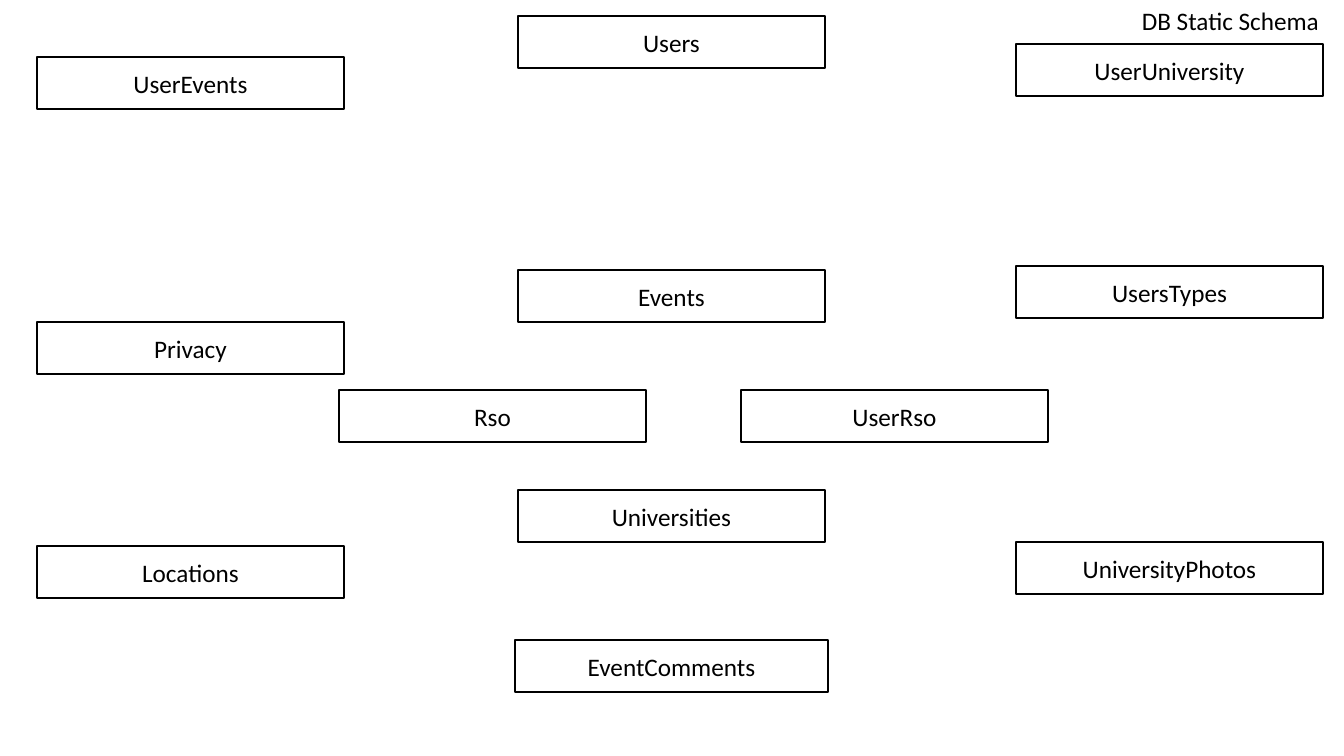
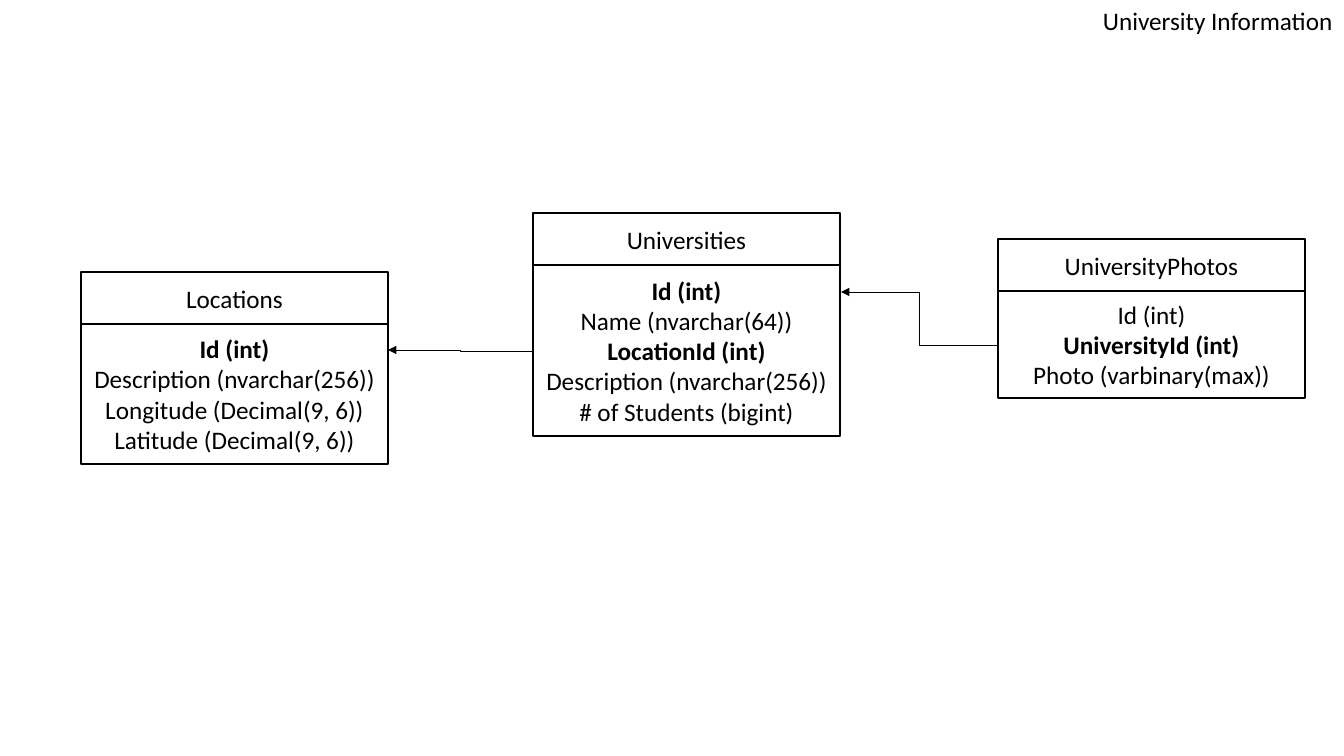
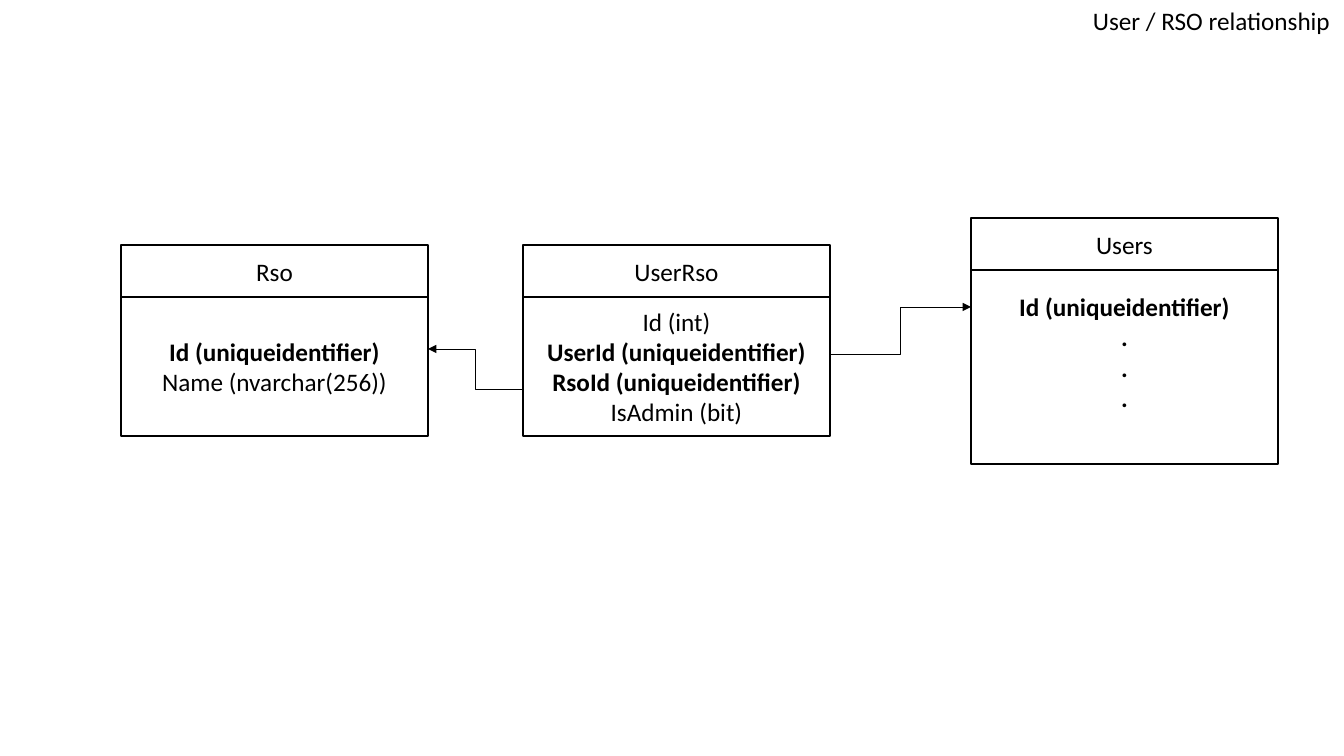
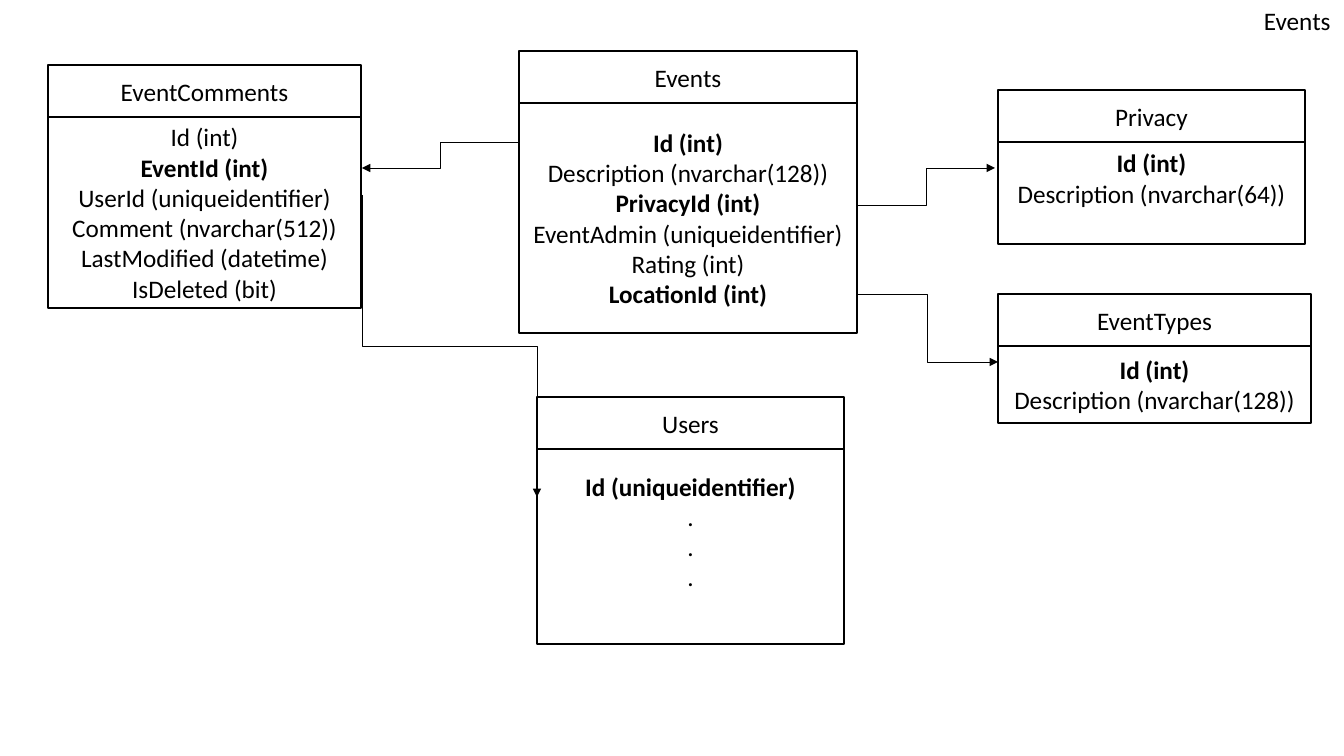
from lxml.etree import SubElement
from pptx import Presentation
from pptx.dml.color import RGBColor
from pptx.enum.shapes import MSO_CONNECTOR, MSO_SHAPE
from pptx.enum.text import MSO_ANCHOR, PP_ALIGN
from pptx.oxml.ns import qn
from pptx.util import Emu, Pt

COLORS = {"paper": "FFFFFF", "ink": "000000"}
FONT = "Calibri"
FONT_SIZE = 18
SLIDE_WIDTH, SLIDE_HEIGHT = 1344, 756
ENTITY_WIDTH = 307
COMMENTS_WIDTH = 313
HEADER_HEIGHT = 52
TITLE_HEIGHT = 40
INSET = 5
LINE_HEIGHT = 30
KEY_MARK = "*"


def px(pixels):
    return Emu(round(pixels * 914400 / 100.8))


def color(name):
    return RGBColor.from_string(COLORS[name])


def write_text(frame, lines, align=PP_ALIGN.LEFT, anchor=MSO_ANCHOR.TOP, bottom=INSET):
    frame.word_wrap = True
    frame.vertical_anchor = anchor
    frame.margin_bottom = px(bottom)
    for index, line in enumerate(lines):
        paragraph = frame.add_paragraph() if index else frame.paragraphs[0]
        paragraph.alignment = align
        run = paragraph.add_run()
        run.text = line.removeprefix(KEY_MARK)
        run.font.name = FONT
        run.font.size = Pt(FONT_SIZE)
        run.font.bold = line.startswith(KEY_MARK)
        run.font.color.rgb = color("ink")


def add_titled_slide(deck, title, width):
    slide = deck.slides.add_slide(deck.slide_layouts[6])
    heading = slide.shapes.add_textbox(
        px(SLIDE_WIDTH - width), 0, px(width), px(TITLE_HEIGHT))
    write_text(heading.text_frame, [title])
    return slide


def add_box(slide, left, top, width, height, lines, bottom=INSET):
    box = slide.shapes.add_shape(
        MSO_SHAPE.RECTANGLE, px(left), px(top), px(width), px(height))
    box.shadow.inherit = False
    box.fill.solid()
    box.fill.fore_color.rgb = color("paper")
    box.line.color.rgb = color("ink")
    box.line.width = Pt(1)
    write_text(box.text_frame, lines, align=PP_ALIGN.CENTER,
               anchor=MSO_ANCHOR.MIDDLE, bottom=bottom)


def add_entity(slide, name, left, top, body_height, fields,
               width=ENTITY_WIDTH, spare_lines=0):
    add_box(slide, left, top, width, HEADER_HEIGHT, [name])
    add_box(slide, left, top + HEADER_HEIGHT, width, body_height, fields,
            bottom=INSET + spare_lines * LINE_HEIGHT)


def add_reference(slide, start, end, vertical=False):
    (x1, y1), (x2, y2) = start, end
    if vertical:
        middle_x, middle_y = (x1 + x2) / 2, (y1 + y2) / 2
        half_run, half_drop = (x2 - x1) / 2, (y2 - y1) / 2
        x1, y1 = middle_x + half_drop, middle_y - half_run
        x2, y2 = middle_x - half_drop, middle_y + half_run
    reference = slide.shapes.add_connector(
        MSO_CONNECTOR.ELBOW, px(x1), px(y1), px(x2), px(y2))
    reference.line.color.rgb = color("ink")
    reference.line.width = Pt(0.5)
    properties = reference._element.spPr
    if vertical:
        properties.find(qn("a:xfrm")).set("rot", str(270 * 60000))
    SubElement(properties.find(qn("a:ln")), qn("a:tailEnd"), type="triangle")
    SubElement(properties, qn("a:effectLst"))


def build_schema(deck):
    slide = add_titled_slide(deck, "DB Static Schema", 212)
    left_column, middle_column, right_column = 37, 518, 1016
    for name, left, top in (
        ("UsersTypes", right_column, 266),
        ("Users", middle_column, 16),
        ("Universities", middle_column, 490),
        ("Locations", left_column, 546),
        ("UserUniversity", right_column, 44),
        ("UserEvents", left_column, 57),
        ("Privacy", left_column, 322),
        ("Events", middle_column, 270),
        ("UniversityPhotos", right_column, 542),
        ("UserRso", 741, 390),
        ("Rso", 339, 390),
    ):
        add_box(slide, left, top, ENTITY_WIDTH, HEADER_HEIGHT, [name])
    add_box(slide, 515, 640, COMMENTS_WIDTH, HEADER_HEIGHT, ["EventComments"])


def build_university(deck):
    slide = add_titled_slide(deck, "University Information", 251)
    add_entity(slide, "Locations", 81, 272, 140, [
        "*Id (int)", "Description (nvarchar(256))",
        "Longitude (Decimal(9, 6))", "Latitude (Decimal(9, 6))"])
    add_entity(slide, "Universities", 533, 213, 171, [
        "*Id (int)", "Name (nvarchar(64))", "*LocationId (int)",
        "Description (nvarchar(256))", "# of Students (bigint)"])
    add_entity(slide, "UniversityPhotos", 998, 239, 107, [
        "Id (int)", "*UniversityId (int)", "Photo (varbinary(max))"])
    add_reference(slide, (533, 351), (388, 350))
    add_reference(slide, (998, 345), (841, 292))


def build_user_rso(deck):
    slide = add_titled_slide(deck, "User / RSO relationship", 261)
    add_entity(slide, "UserRso", 523, 245, 139, [
        "Id (int)", "*UserId (uniqueidentifier)",
        "*RsoId (uniqueidentifier)", "IsAdmin (bit)"])
    add_entity(slide, "Users", 971, 218, 194,
               ["*Id (uniqueidentifier)"] + ["*."] * 3, spare_lines=1)
    add_entity(slide, "Rso", 121, 245, 139, [
        "*Id (uniqueidentifier)", "Name (nvarchar(256))"])
    add_reference(slide, (830, 354), (971, 307))
    add_reference(slide, (523, 389), (428, 349))


def build_events(deck):
    slide = add_titled_slide(deck, "Events", 90)
    add_entity(slide, "Events", 519, 51, 230, [
        "*Id (int)", "Description (nvarchar(128))", "*PrivacyId (int)",
        "EventAdmin (uniqueidentifier)", "Rating (int)", "*LocationId (int)"],
        width=338)
    add_entity(slide, "EventComments", 48, 65, 191, [
        "Id (int)", "*EventId (int)", "UserId (uniqueidentifier)",
        "Comment (nvarchar(512))", "LastModified (datetime)", "IsDeleted (bit)"],
        width=COMMENTS_WIDTH)
    add_entity(slide, "EventTypes", 998, 294, 77, [
        "*Id (int)", "Description (nvarchar(128))"], width=COMMENTS_WIDTH)
    add_entity(slide, "Privacy", 998, 90, 102, [
        "*Id (int)", "Description (nvarchar(64))"], spare_lines=1)
    add_entity(slide, "Users", 537, 397, 195,
               ["*Id (uniqueidentifier)"] + ["."] * 3, spare_lines=1)
    add_reference(slide, (519, 142), (362, 168))
    add_reference(slide, (857, 205), (995, 168))
    add_reference(slide, (857, 294), (998, 362))
    add_reference(slide, (362, 195), (537, 497), vertical=True)


def main():
    deck = Presentation()
    deck.slide_width = px(SLIDE_WIDTH)
    deck.slide_height = px(SLIDE_HEIGHT)
    build_schema(deck)
    build_university(deck)
    build_user_rso(deck)
    build_events(deck)
    deck.save("out.pptx")


main()
